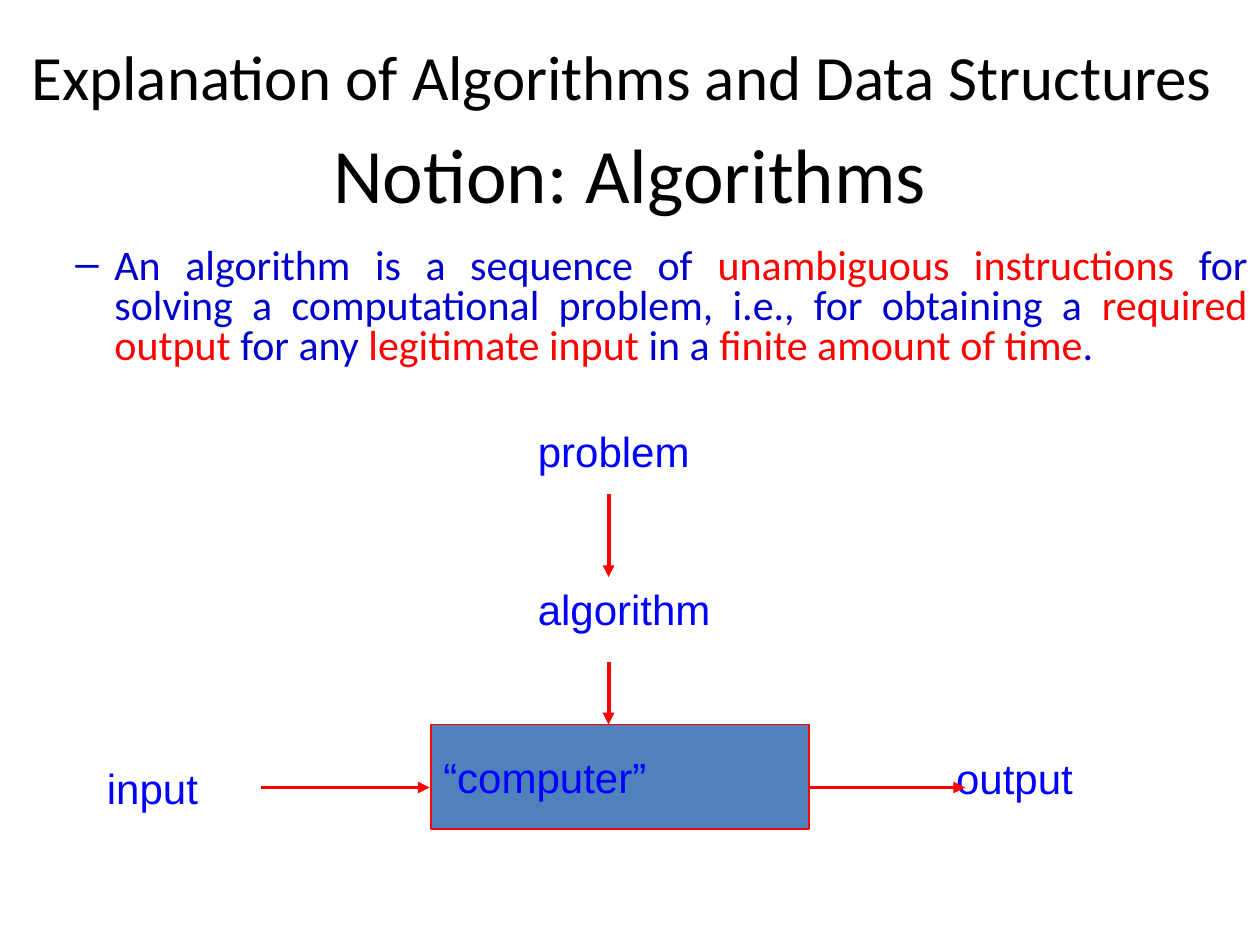
from dataclasses import dataclass

from lxml.etree import SubElement
from pptx import Presentation
from pptx.dml.color import RGBColor
from pptx.enum.shapes import MSO_CONNECTOR as Connector, MSO_SHAPE as Preset
from pptx.enum.text import MSO_ANCHOR as Anchor, PP_ALIGN as Align
from pptx.oxml.ns import qn
from pptx.util import Inches, Pt

BLACK, BLUE, NAVY, RED, STEEL = "000000", "0000FF", "0000CC", "FF0000", "4F81BD"


@dataclass
class Label:
    text: str
    left: float
    top: float
    width: float
    height: float = 0.5
    wrap: bool = True


@dataclass
class Arrow:
    start: tuple[float, float]
    end: tuple[float, float]


def rgb(color: str) -> RGBColor:
    return RGBColor.from_string(color)


def place(shape, left: float, top: float, width: float, height: float) -> None:
    box = {"left": left, "top": top, "width": width, "height": height}
    for name, value in box.items():
        setattr(shape, name, Inches(value))


def add_run(paragraph, text: str, size: float, font: str, color: str) -> None:
    run = paragraph.add_run()
    run.text = text
    for name, value in {"size": Pt(size), "name": font}.items():
        setattr(run.font, name, value)
    run.font.color.rgb = rgb(color)


def add_text_box(slide, left: float, top: float, width: float, height: float):
    box = slide.shapes.add_textbox(*map(Inches, (left, top, width, height)))
    box.text_frame.word_wrap = True
    return box


def add_label(slide, label: Label) -> None:
    box = add_text_box(slide, label.left, label.top, label.width, label.height)
    box.text_frame.word_wrap = label.wrap
    add_run(box.text_frame.paragraphs[0], label.text, 24, "Arial", BLUE)


def add_arrow(slide, arrow: Arrow) -> None:
    connector = slide.shapes.add_connector(
        Connector.STRAIGHT, *map(Inches, arrow.start + arrow.end))
    connector.line.color.rgb = rgb(RED)
    connector.line.width = Pt(2.25)
    SubElement(connector.line._get_or_add_ln(), qn("a:tailEnd"), type="triangle")
    SubElement(connector._element.spPr, qn("a:effectLst"))


def add_dash(paragraph, color: str, margin: float, indent: float) -> None:
    properties = paragraph._p.get_or_add_pPr()
    properties.set("marL", str(Inches(margin)))
    properties.set("indent", str(Inches(indent)))
    bullet_color = SubElement(properties, qn("a:buClr"))
    SubElement(bullet_color, qn("a:srgbClr"), val=color)
    SubElement(properties, qn("a:buFont"), typeface="Arial")
    SubElement(properties, qn("a:buChar"), char="–")


DEFINITION = [
    ("An algorithm is a sequence of ", NAVY),
    ("unambiguous instructions", RED),
    (" for solving a computational problem, i.e., for obtaining a ", NAVY),
    ("required output", RED),
    (" for any ", NAVY),
    ("legitimate input", RED),
    (" in a ", NAVY),
    ("finite amount of time", RED),
    (".", NAVY),
]
LABELS = [
    Label("problem", 4.17, 3.33, 1.75),
    Label("algorithm", 4.17, 4.58, 1.57, wrap=False),
    Label("input", 0.75, 6, 1.31),
    Label("output", 7.49, 5.92, 1.31),
]
FLOW_X, FLOW_Y = 4.83, 6.25
ARROWS = [
    Arrow((FLOW_X, 3.92), (FLOW_X, 4.58)),
    Arrow((FLOW_X, 5.25), (FLOW_X, 5.75)),
    Arrow((2.07, FLOW_Y), (3.41, FLOW_Y)),
    Arrow((6.41, FLOW_Y), (7.66, FLOW_Y)),
]


def main() -> None:
    presentation = Presentation()
    presentation.slide_width, presentation.slide_height = Inches(10), Inches(7.5)
    slide = presentation.slides.add_slide(presentation.slide_layouts[5])

    # Title
    title = slide.shapes.title
    place(title, 0.5, 1.08, 9, 0.58)
    title.text_frame.vertical_anchor = Anchor.MIDDLE
    heading = title.text_frame.paragraphs[0]
    heading.alignment = Align.CENTER
    add_run(heading, "Notion: Algorithms", 44, "Calibri", BLACK)

    # Computer box
    computer = slide.shapes.add_shape(
        Preset.RECTANGLE, *map(Inches, (3.42, 5.75, 3, 0.83)))
    computer.shadow.inherit = False
    computer.fill.solid()
    computer.fill.fore_color.rgb = rgb(STEEL)
    computer.line.color.rgb = rgb(RED)
    computer.line.width = Pt(1)
    computer.text_frame.vertical_anchor = Anchor.MIDDLE
    caption = computer.text_frame.paragraphs[0]
    caption.alignment = Align.LEFT
    add_run(caption, "“computer”", 24, "Arial", BLUE)

    # Diagram labels and arrows
    for label in LABELS:
        add_label(slide, label)
    for arrow in ARROWS:
        add_arrow(slide, arrow)

    # Definition
    body = add_text_box(slide, 0, 1.92, 10, 1.17)
    definition = body.text_frame.paragraphs[0]
    add_dash(definition, NAVY, 0.81, -0.31)
    definition.alignment = Align.JUSTIFY
    definition.line_spacing = 0.8
    for text, color in DEFINITION:
        add_run(definition, text, 24, "Calibri", color)

    # Course heading
    course = add_text_box(slide, 0.25, 0.3, 9.5, 0.6)
    frame = course.text_frame
    frame.vertical_anchor = Anchor.MIDDLE
    for side in ("left", "top", "right", "bottom"):
        setattr(frame, f"margin_{side}", 0)
    add_run(frame.paragraphs[0], "Explanation of Algorithms and Data Structures",
            36, "Calibri", BLACK)

    presentation.save("out.pptx")


if __name__ == "__main__":
    main()
